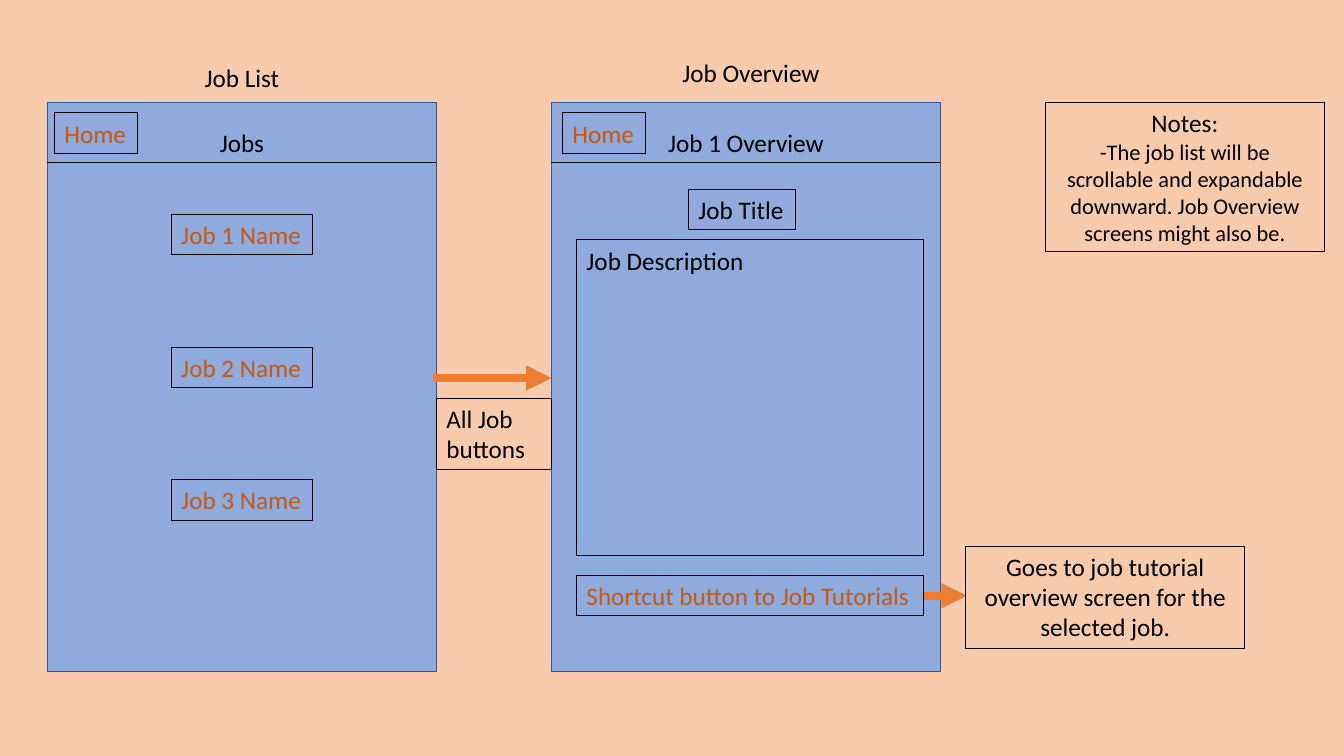
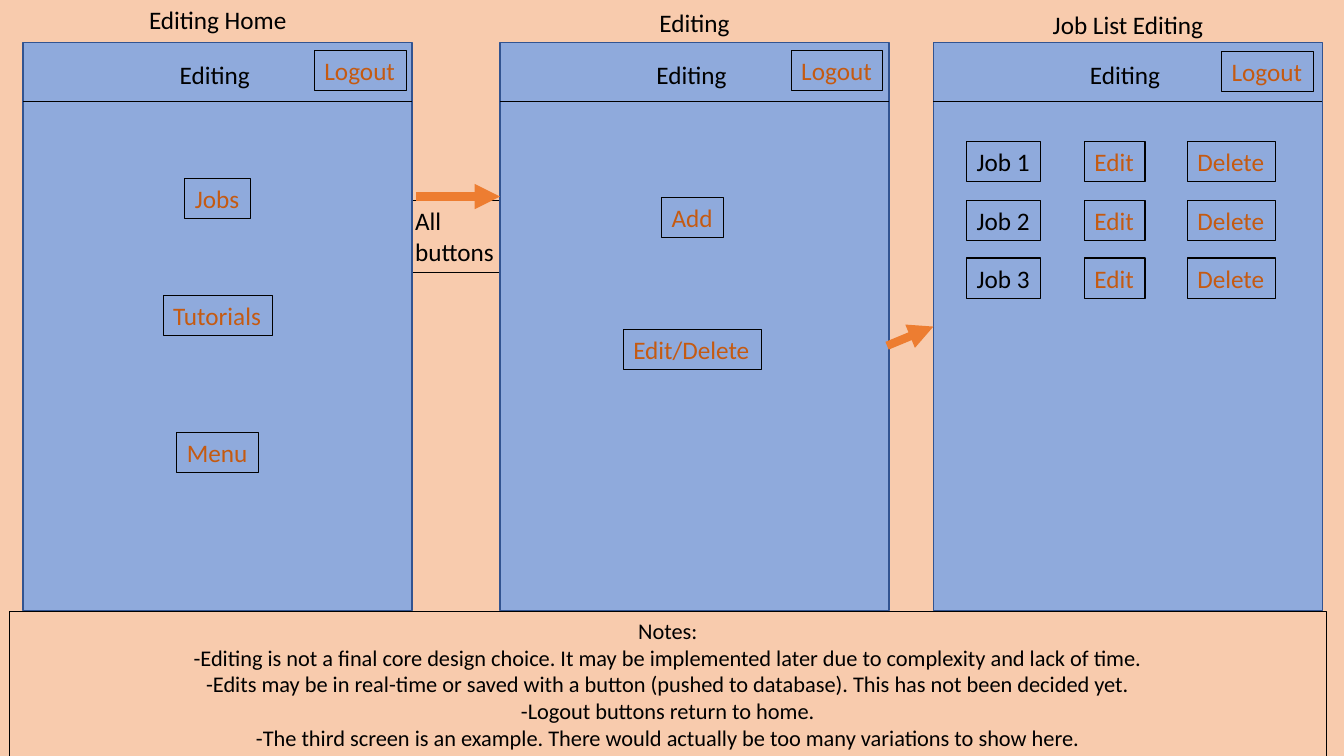
from dataclasses import dataclass

from lxml.etree import SubElement
from pptx import Presentation
from pptx.dml.color import RGBColor
from pptx.enum.shapes import MSO_CONNECTOR, MSO_SHAPE
from pptx.enum.text import MSO_ANCHOR, PP_ALIGN
from pptx.oxml.ns import qn
from pptx.util import Inches, Pt

PEACH = RGBColor(0xF8, 0xCB, 0xAD)
BLUE = RGBColor(0x8F, 0xAA, 0xDC)
NAVY = RGBColor(0x32, 0x54, 0x91)
ORANGE = RGBColor(0xED, 0x7D, 0x31)
RUST = RGBColor(0xC5, 0x5A, 0x11)
BLACK = RGBColor(0, 0, 0)

FONT = "Calibri"
BODY, SMALL = 18, 16
LEFT, CENTRE = PP_ALIGN.LEFT, PP_ALIGN.CENTER

# All lengths are columns and rows of a grid with ten cells to the inch.
DECK_WIDTH, DECK_HEIGHT = 133.33, 75
SCREEN_WIDTH, SCREEN_HEIGHT = 38.6, 56.4
HEADER_HEIGHT = 5.9
LABEL_HEIGHT = 4


def cells(count):
    return Inches(count / 10)


@dataclass
class Box:
    left: float
    top: float
    width: float
    height: float = LABEL_HEIGHT

    def inside(self, column, row, width, height=LABEL_HEIGHT):
        """A box placed from this box's top left corner."""
        return Box(self.left + column, self.top + row, width, height)

    def centred(self, row, width, shift=0):
        """A label box on this box's vertical middle line."""
        return self.inside((self.width - width) / 2 + shift, row, width)

    def extent(self):
        return [cells(n) for n in (self.left, self.top, self.width, self.height)]


def write(frame, lines, colour, align, wrap):
    """Fill a text frame; lines holds (text, size) pairs."""
    for name, value in {"word_wrap": wrap, "vertical_anchor": MSO_ANCHOR.TOP}.items():
        setattr(frame, name, value)
    for index, (text, size) in enumerate(lines):
        para = frame.add_paragraph() if index else frame.paragraphs[0]
        para.alignment = align
        span = para.add_run()
        span.text = text
        span.font.color.rgb = colour
        for name, value in {"name": FONT, "size": Pt(size)}.items():
            setattr(span.font, name, value)


def add_label(page, box, text):
    label = page.shapes.add_textbox(*box.extent())
    write(label.text_frame, [(text, BODY)], BLACK, CENTRE, False)


def add_rectangle(page, box, line, weight, fill=None):
    rectangle = page.shapes.add_shape(MSO_SHAPE.RECTANGLE, *box.extent())
    rectangle.shadow.inherit = False
    if fill is None:
        rectangle.fill.background()
    else:
        rectangle.fill.solid()
        rectangle.fill.fore_color.rgb = fill
    rectangle.line.color.rgb = line
    rectangle.line.width = Pt(weight)
    return rectangle


def add_panel(page, box, lines, colour=BLACK, align=LEFT, wrap=True):
    panel = add_rectangle(page, box, BLACK, 0.75)
    write(panel.text_frame, lines, colour, align, wrap)


def add_button(page, box, text, colour=RUST):
    add_panel(page, box, [(text, BODY)], colour, wrap=False)


def add_line(page, start, end, colour, weight):
    line = page.shapes.add_connector(
        MSO_CONNECTOR.STRAIGHT, *[cells(n) for n in (*start, *end)])
    line.line.color.rgb = colour
    line.line.width = Pt(weight)
    SubElement(line._element.spPr, qn("a:effectLst"))
    return line


def add_arrow(page, start, end):
    arrow = add_line(page, start, end, ORANGE, 6)
    SubElement(arrow.line._get_or_add_ln(), qn("a:tailEnd"), type="triangle")


def add_screen(page, left, top, title, header, corner):
    """Draw a phone screen; each argument after top is (text, place and size)."""
    screen = Box(left, top, SCREEN_WIDTH, SCREEN_HEIGHT)
    add_rectangle(page, screen, NAVY, 1, BLUE)
    rule = top + HEADER_HEIGHT
    add_line(page, (left, rule), (left + SCREEN_WIDTH, rule), BLACK, 0.5)
    for text, *place in (title, header):
        add_label(page, screen.centred(*place), text)
    text, *place = corner
    add_button(page, screen.inside(*place), text)
    return screen


def add_page(deck):
    page = deck.slides.add_slide(deck.slide_layouts[6])
    page.background.fill.solid()
    page.background.fill.fore_color.rgb = PEACH
    return page


def add_centred_buttons(page, screen, buttons, shift=0):
    for text, row, width in buttons:
        add_button(page, screen.centred(row, width, shift), text)


def add_overview_parts(page, screen):
    add_button(page, screen.centred(8.6, 10.6, -0.4), "Job Title", BLACK)
    add_panel(page, screen.inside(2.5, 13.6, 34.4, 31.3), [("Job Description", BODY)])
    add_button(page, screen.inside(2.5, 46.9, 34.4), "Shortcut button to Job Tutorials")


def add_job_rows(page, screen):
    for number, row in enumerate((9.8, 15.7, 21.4), 1):
        for text, column, width, colour in (
                (f"Job {number}", 3.3, 7.3, BLACK),
                ("Edit", 15, 6, RUST),
                ("Delete", 25.2, 8.7, RUST)):
            add_button(page, screen.inside(column, row, width), text, colour)


def build_job_page(deck):
    page = add_page(deck)
    job_list = add_screen(page, 4.7, 10.2, ("Job List", -4.5, 9.5),
                          ("Jobs", 1.9, 6.5), ("Home", 0.7, 1, 8.2))
    add_centred_buttons(page, job_list, [
        (f"Job {index + 1} Name", 11.1 + 13.15 * index, 14) for index in range(3)])

    overview = add_screen(page, 54.7, 10.2, ("Job Overview", -5, 15.8, 0.5),
                          ("Job 1 Overview", 1.9, 17.6), ("Home", 1.1, 1, 8.2))
    add_overview_parts(page, overview)

    add_arrow(page, (43, 37.5), (overview.left, 37.5))
    add_panel(page, Box(43.3, 39.5, 11.4, 7.1), [("All Job buttons", BODY)])
    add_arrow(page, (91.7, 59.1), (95.9, 59.1))
    add_panel(page, Box(95.8, 54.2, 27.7, 10.1), [
        ("Goes to job tutorial overview screen for the selected job.", BODY)],
        align=CENTRE)
    add_panel(page, Box(103.7, 10.2, 27.7, 14.8), [
        ("Notes:", BODY),
        ("-The job list will be scrollable and expandable downward. "
         "Job Overview screens might also be.", SMALL)], align=CENTRE)


def build_editing_page(deck):
    page = add_page(deck)
    add_panel(page, Box(40.2, 19.9, 10.5, 7.1), [("All buttons", BODY)])
    header = ("Editing", 1.2, 9.1, -0.3)
    home, editing, job_list = [
        add_screen(page, left, 4.2, title, header, ("Logout", *corner, 9.1))
        for left, title, corner in (
            (2.3, ("Editing Home", -4.3, 15.8), (28.9, 0.8)),
            (49.6, ("Editing", -4, 9.1), (28.9, 0.8)),
            (92.6, ("Job List Editing", -3.8, 17.1), (28.6, 0.9)))]

    add_centred_buttons(page, home, [
        ("Jobs", 13.5, 6.5), ("Tutorials", 25.1, 10.8), ("Menu", 38.7, 8.1)])
    add_centred_buttons(page, editing, [
        ("Add", 15.4, 6.1), ("Edit/Delete", 28.5, 13.7)], -0.2)
    add_job_rows(page, job_list)

    add_arrow(page, (41.3, 19.5), (editing.left, 19.5))
    add_arrow(page, (88, 34.3), (job_list.left, 32.4))
    notes = (
        "Notes:",
        "-Editing is not a final core design choice. It may be implemented later "
        "due to complexity and lack of time.",
        "-Edits may be in real-time or saved with a button (pushed to database). "
        "This has not been decided yet.",
        "-Logout buttons return to home.",
        "-The third screen is an example. There would actually be too many "
        "variations to show here.")
    add_panel(page, Box(0.9, 60.7, 130.7, 14.5),
              [(note, SMALL) for note in notes], align=CENTRE)


def main():
    deck = Presentation()
    deck.slide_width, deck.slide_height = cells(DECK_WIDTH), cells(DECK_HEIGHT)
    build_job_page(deck)
    build_editing_page(deck)
    deck.save("out.pptx")


if __name__ == "__main__":
    main()
